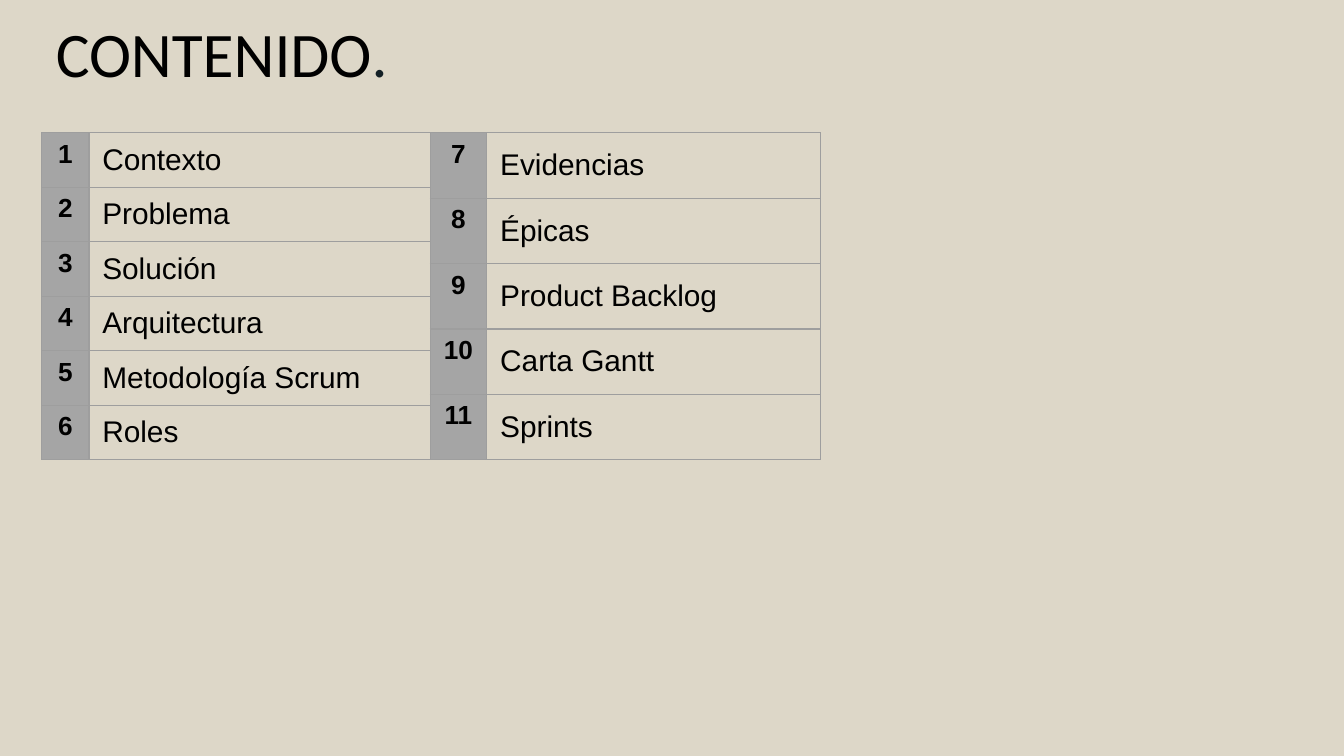
"""Build the contents slide with two numbered topic tables."""
import lxml.etree
import pptx
import pptx.dml.color
import pptx.enum.text
import pptx.oxml.ns
import pptx.util

Cm = pptx.util.Cm
Pt = pptx.util.Pt


def color(hex_code):
    """Return the colour for a hex string."""
    return pptx.dml.color.RGBColor.from_string(hex_code)


def add_borders(cell, hex_code, width):
    """Draw a solid line on every side of a table cell."""
    properties = cell._tc.get_or_add_tcPr()
    for side in ("lnL", "lnR", "lnT", "lnB"):
        line = lxml.etree.SubElement(properties, pptx.oxml.ns.qn(f"a:{side}"), w=str(width))
        fill = lxml.etree.SubElement(line, pptx.oxml.ns.qn("a:solidFill"))
        lxml.etree.SubElement(fill, pptx.oxml.ns.qn("a:srgbClr"), val=hex_code)


presentation = pptx.Presentation()
presentation.slide_width = Cm(25.4)
presentation.slide_height = Cm(14.29)
slide = presentation.slides.add_slide(presentation.slide_layouts[5])
slide.background.fill.solid()
slide.background.fill.fore_color.rgb = color("DDD7C8")

title = slide.shapes.title
title.left, title.top, title.width, title.height = Cm(0), Cm(0), Cm(8.38), Cm(1.96)
title_frame = title.text_frame
title_frame.word_wrap = True
title_frame.auto_size = pptx.enum.text.MSO_AUTO_SIZE.NONE
title_frame.margin_left = title_frame.margin_right = Cm(0.25)
title_frame.margin_top = title_frame.margin_bottom = Cm(0.25)
title_paragraph = title_frame.paragraphs[0]
title_paragraph.alignment = pptx.enum.text.PP_ALIGN.CENTER
for text, hex_code in (("CONTENIDO", "000000"), (".", "132026")):
    run = title_paragraph.add_run()
    run.text = text
    run.font.name = "Calibri"
    run.font.size = Pt(34)
    run.font.color.rgb = color(hex_code)

table_height = Cm(6.18)
topic_tables = (
    (1, 0.79, (0.89, 6.48),
     ("Contexto", "Problema", "Solución", "Arquitectura", "Metodología Scrum", "Roles")),
    (7, 8.13, (1.07, 6.3),
     ("Evidencias", "Épicas", "Product Backlog", "Carta Gantt", "Sprints")),
)
for first_number, left, column_widths, topics in topic_tables:
    table = slide.shapes.add_table(
        len(topics), 2, Cm(left), Cm(2.51), Cm(sum(column_widths)), table_height
    ).table
    table.first_row = False
    table.horz_banding = False
    for column, width in zip(table.columns, column_widths):
        column.width = Cm(width)
    for row_index, topic in enumerate(topics):
        number_cell = table.cell(row_index, 0)
        topic_cell = table.cell(row_index, 1)
        number_cell.text_frame.text = str(first_number + row_index)
        topic_cell.text_frame.text = topic
        for cell, size, bold in ((number_cell, 14, True), (topic_cell, 16, False)):
            add_borders(cell, "9E9E9E", Pt(0.75))
            font = cell.text_frame.paragraphs[0].runs[0].font
            font.name = "Arial"
            font.size = Pt(size)
            font.bold = bold
            font.color.rgb = color("000000")
        number_cell.text_frame.paragraphs[0].alignment = pptx.enum.text.PP_ALIGN.CENTER
        number_cell.fill.solid()
        number_cell.fill.fore_color.rgb = color("A5A5A5")
        topic_cell.vertical_anchor = pptx.enum.text.MSO_ANCHOR.MIDDLE
        topic_cell.fill.background()

presentation.save("out.pptx")
